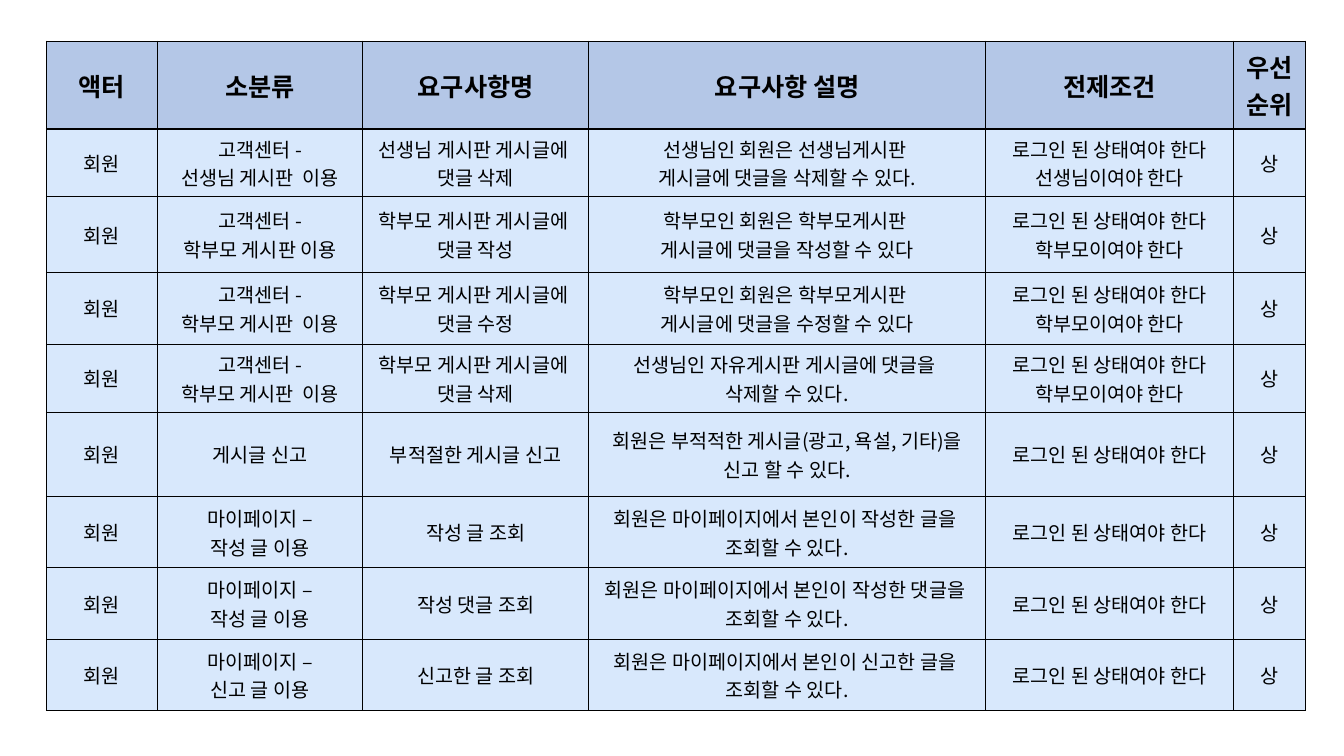
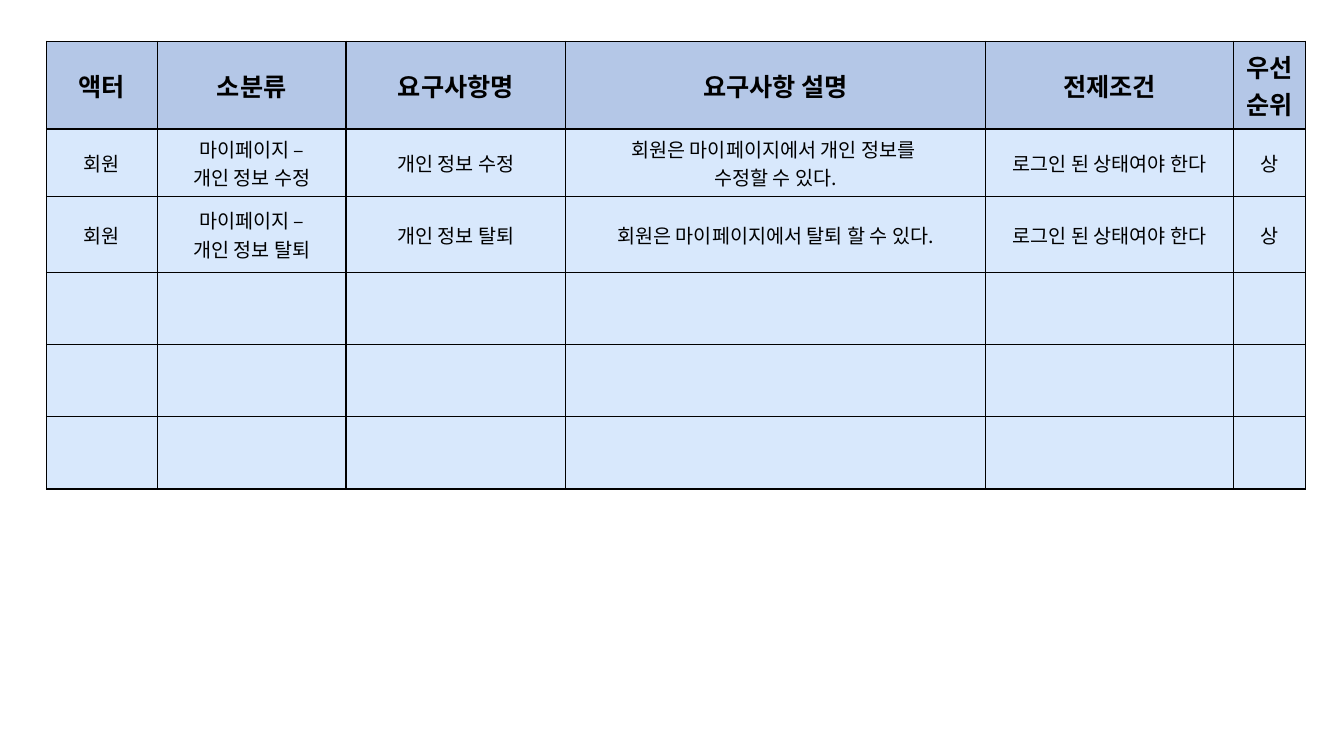
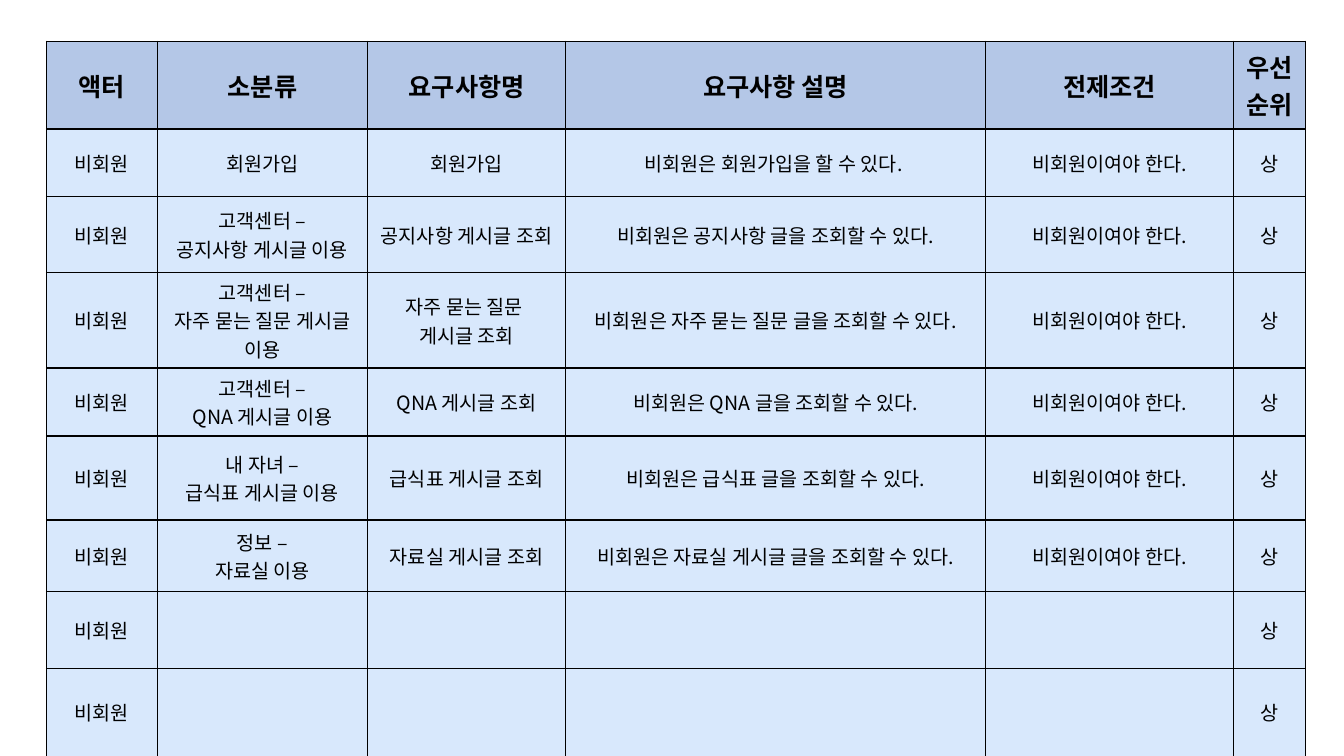
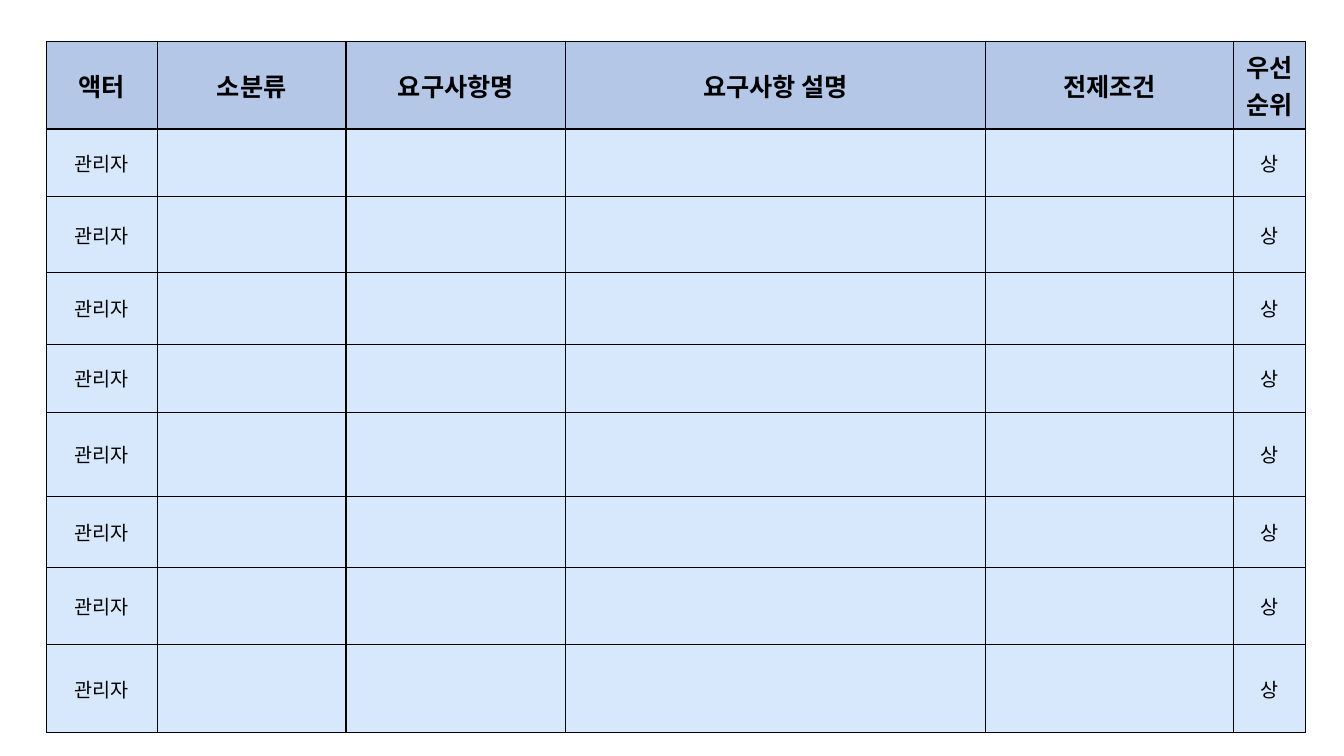
from pptx import Presentation
from pptx.dml.color import RGBColor
from pptx.enum.text import MSO_ANCHOR, PP_ALIGN
from pptx.oxml import parse_xml
from pptx.oxml.ns import nsdecls
from pptx.util import Cm, Pt

FONT = "Noto Sans CJK KR"
BLACK = RGBColor(0x00, 0x00, 0x00)
HEADER_FILL = RGBColor(0xB4, 0xC7, 0xE7)
BODY_FILL = RGBColor(0xD8, 0xE8, 0xFC)

HEADERS = ("액터", "소분류", "요구사항명", "요구사항 설명", "전제조건", "우선순위")
PRIORITY = "상"
LOGIN = "로그인 된 상태여야 한다"
TEACHER = LOGIN + "\v선생님이여야 한다"
PARENT = LOGIN + "\v학부모이여야 한다"
GUEST = "비회원이여야 한다."
NO_DETAIL = ("",) * 4

MEMBER_ROWS = [
    ("고객센터 -\n선생님 게시판  이용", "선생님 게시판 게시글에 \v댓글 삭제",
     "선생님인 회원은 선생님게시판 \v게시글에 댓글을 삭제할 수 있다.", TEACHER),
    ("고객센터 -\n학부모 게시판 이용", "학부모 게시판 게시글에 \v댓글 작성",
     "학부모인 회원은 학부모게시판 \v게시글에 댓글을 작성할 수 있다", PARENT),
    ("고객센터 -\n학부모 게시판  이용", "학부모 게시판 게시글에 \v댓글 수정",
     "학부모인 회원은 학부모게시판 \v게시글에 댓글을 수정할 수 있다", PARENT),
    ("고객센터 -\n학부모 게시판  이용", "학부모 게시판 게시글에 \v댓글 삭제",
     "선생님인 자유게시판 게시글에 댓글을 \n삭제할 수 있다.", PARENT),
    ("게시글 신고", "부적절한 게시글 신고",
     "회원은 부적적한 게시글(광고, 욕설, 기타)을 신고 할 수 있다.", LOGIN),
    ("마이페이지 –\n작성 글 이용", "작성 글 조회",
     "회원은 마이페이지에서 본인이 작성한 글을 \v조회할 수 있다.", LOGIN),
    ("마이페이지 –\n작성 글 이용", "작성 댓글 조회",
     "회원은 마이페이지에서 본인이 작성한 댓글을 \v조회할 수 있다.", LOGIN),
    ("마이페이지 –\n신고 글 이용", "신고한 글 조회",
     "회원은 마이페이지에서 본인이 신고한 글을 \v조회할 수 있다.", LOGIN),
]
ACCOUNT_ROWS = [
    ("마이페이지 –\n개인 정보 수정", "개인 정보 수정",
     "회원은 마이페이지에서 개인 정보를 \v수정할 수 있다.", LOGIN),
    ("마이페이지 –\n개인 정보 탈퇴", "개인 정보 탈퇴",
     "회원은 마이페이지에서 탈퇴 할 수 있다.", LOGIN),
    (), (), (),
]
GUEST_ROWS = [
    ("회원가입", "회원가입", "비회원은 회원가입을 할 수 있다. ", GUEST),
    ("고객센터 –\v공지사항 게시글 이용", "공지사항 게시글 조회",
     "비회원은 공지사항 글을 조회할 수 있다.", GUEST),
    ("고객센터 –\v자주 묻는 질문 게시글 이용", "자주 묻는 질문  게시글 조회",
     "비회원은 자주 묻는 질문 글을 조회할 수 있다.", GUEST),
    ("고객센터 –\vQNA 게시글 이용", "QNA 게시글 조회",
     "비회원은 QNA 글을 조회할 수 있다.", GUEST),
    ("내 자녀 –\v급식표 게시글 이용", "급식표 게시글 조회",
     "비회원은 급식표 글을 조회할 수 있다.", GUEST),
    ("정보 –\v자료실 이용", "자료실 게시글 조회",
     "비회원은 자료실 게시글 글을 조회할 수 있다.", GUEST),
    NO_DETAIL, NO_DETAIL,
]
ADMIN_ROWS = [NO_DETAIL] * 8

LEFT, TOP = 1.17, 1.04
ACTOR_W, CONDITION_W, PRIORITY_W = 2.8, 6.25, 1.82
FIRST_HEIGHTS = [2.21, 1.71, 1.9, 1.82]
LONG_HEIGHTS = FIRST_HEIGHTS + [1.71, 2.12, 1.8]

SLIDES = [
    ("회원", MEMBER_ROWS, (5.17, 5.7, 10), LONG_HEIGHTS + [1.8, 1.8]),
    ("회원", ACCOUNT_ROWS, (4.75, 5.54, 10.58), FIRST_HEIGHTS + [1.82, 1.82]),
    ("비회원", GUEST_ROWS, (5.29, 5, 10.58), LONG_HEIGHTS + [1.94, 2.21]),
    ("관리자", ADMIN_ROWS, (4.75, 5.54, 10.58), LONG_HEIGHTS + [1.94, 2.21]),
]


def style_cell(cell, header):
    tcPr = cell._tc.get_or_add_tcPr()
    for side in ("lnL", "lnR", "lnT", "lnB"):
        tcPr.append(parse_xml(
            f'<a:{side} {nsdecls("a")} w="{Pt(1)}"><a:solidFill>'
            f'<a:srgbClr val="{BLACK}"/></a:solidFill></a:{side}>'))
    cell.fill.solid()
    cell.fill.fore_color.rgb = HEADER_FILL if header else BODY_FILL
    cell.vertical_anchor = MSO_ANCHOR.MIDDLE


def write_cell(cell, text, header):
    cell.text_frame.text = text
    for p in cell.text_frame.paragraphs:
        p.alignment = PP_ALIGN.CENTER
        p.font.size = Pt(18 if header else 14)
        p.font.bold = header
        p.font.name = FONT
        p.font.color.rgb = BLACK
        p.font._rPr.append(parse_xml(f'<a:ea {nsdecls("a")} typeface="{FONT}"/>'))


def add_requirements(prs, actor, details, middle_widths, heights):
    s = prs.slides.add_slide(prs.slide_layouts[6])
    widths = [ACTOR_W, *middle_widths, CONDITION_W, PRIORITY_W]
    rows = [HEADERS] + [(actor, *d, PRIORITY) if d else ("",) * len(HEADERS)
                        for d in details]
    table = s.shapes.add_table(len(rows), len(widths), Cm(LEFT), Cm(TOP),
                               Cm(sum(widths)), Cm(sum(heights))).table
    table.first_row = table.horz_banding = False
    for col, width in zip(table.columns, widths):
        col.width = Cm(width)
    for i, (row, height, texts) in enumerate(zip(table.rows, heights, rows)):
        row.height = Cm(height)
        for cell, text in zip(row.cells, texts):
            style_cell(cell, i == 0)
            if text:
                write_cell(cell, text, i == 0)


def main():
    prs = Presentation()
    prs.slide_width, prs.slide_height = Cm(33.87), Cm(19.05)
    for content in SLIDES:
        add_requirements(prs, *content)
    prs.save("out.pptx")


if __name__ == "__main__":
    main()
